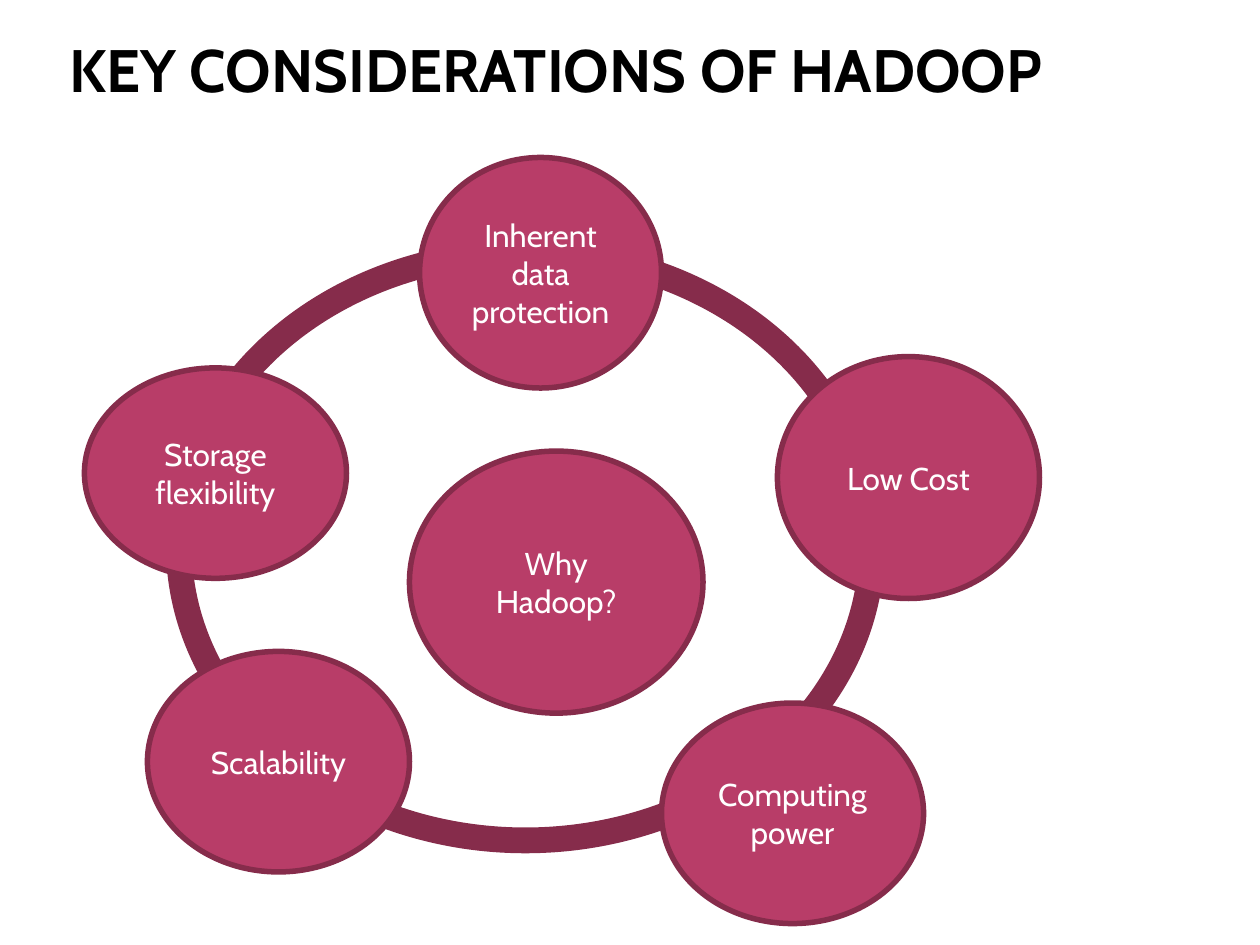
"""Build a slide with a ring of reasons for choosing Hadoop."""
import pptx
import pptx.dml.color
import pptx.enum.shapes
import pptx.enum.text
import pptx.util

Inches = pptx.util.Inches
FONT = "Cabin"
COLORS = {"ink": "000000", "paper": "FFFFFF", "rose": "B83D68", "wine": "862C4B"}
NODES = [
    ("Why Hadoop?", 3.25, 3.58, 2.33, 2.08),
    ("Inherent data protection", 3.33, 1.25, 1.92, 1.83),
    ("Low Cost", 6.17, 2.83, 2.08, 1.92),
    ("Storage flexibility", 0.67, 2.92, 2.08, 1.67),
    ("Scalability", 1.17, 5.17, 2.08, 1.75),
    ("Computing power", 5.25, 5.58, 2.08, 1.75),
]


def color(name):
    return pptx.dml.color.RGBColor.from_string(COLORS[name])


def write(frame, text, size, ink, bold=False):
    frame.word_wrap = True
    para = frame.paragraphs[0]
    para.text = text
    font = para.font
    font.name, font.size, font.bold = FONT, pptx.util.Pt(size), bold
    font.color.rgb = color(ink)
    return para


def add_title(slide, text):
    box = slide.shapes.add_textbox(Inches(0.5), Inches(0.35), Inches(7.92), Inches(0.48))
    frame = box.text_frame
    frame.margin_left = frame.margin_right = Inches(0.05)
    frame.margin_top = frame.margin_bottom = 0
    frame.vertical_anchor = pptx.enum.text.MSO_ANCHOR.BOTTOM
    write(frame, text, 34.2, "ink", True)


def add_oval(slide, place, fill, width):
    oval = slide.shapes.add_shape(
        pptx.enum.shapes.MSO_SHAPE.OVAL, *map(Inches, place))
    oval.shadow.inherit = False
    oval.fill.solid()
    oval.fill.fore_color.rgb = color(fill)
    oval.line.color.rgb = color("wine")
    oval.line.width = pptx.util.Pt(width)
    return oval


def add_node(slide, text, *place):
    frame = add_oval(slide, place, "rose", 3.15).text_frame
    frame.vertical_anchor = pptx.enum.text.MSO_ANCHOR.MIDDLE
    para = write(frame, text, 18, "paper")
    para.alignment = pptx.enum.text.PP_ALIGN.CENTER


def main():
    deck = pptx.Presentation()
    deck.slide_width, deck.slide_height = Inches(10), Inches(7.5)
    slide = deck.slides.add_slide(deck.slide_layouts[6])
    add_title(slide, "KEY CONSIDERATIONS OF HADOOP")
    add_oval(slide, (1.42, 2, 5.5, 4.67), "paper", 14.75)
    for node in NODES:
        add_node(slide, *node)
    deck.save("out.pptx")


if __name__ == "__main__":
    main()
